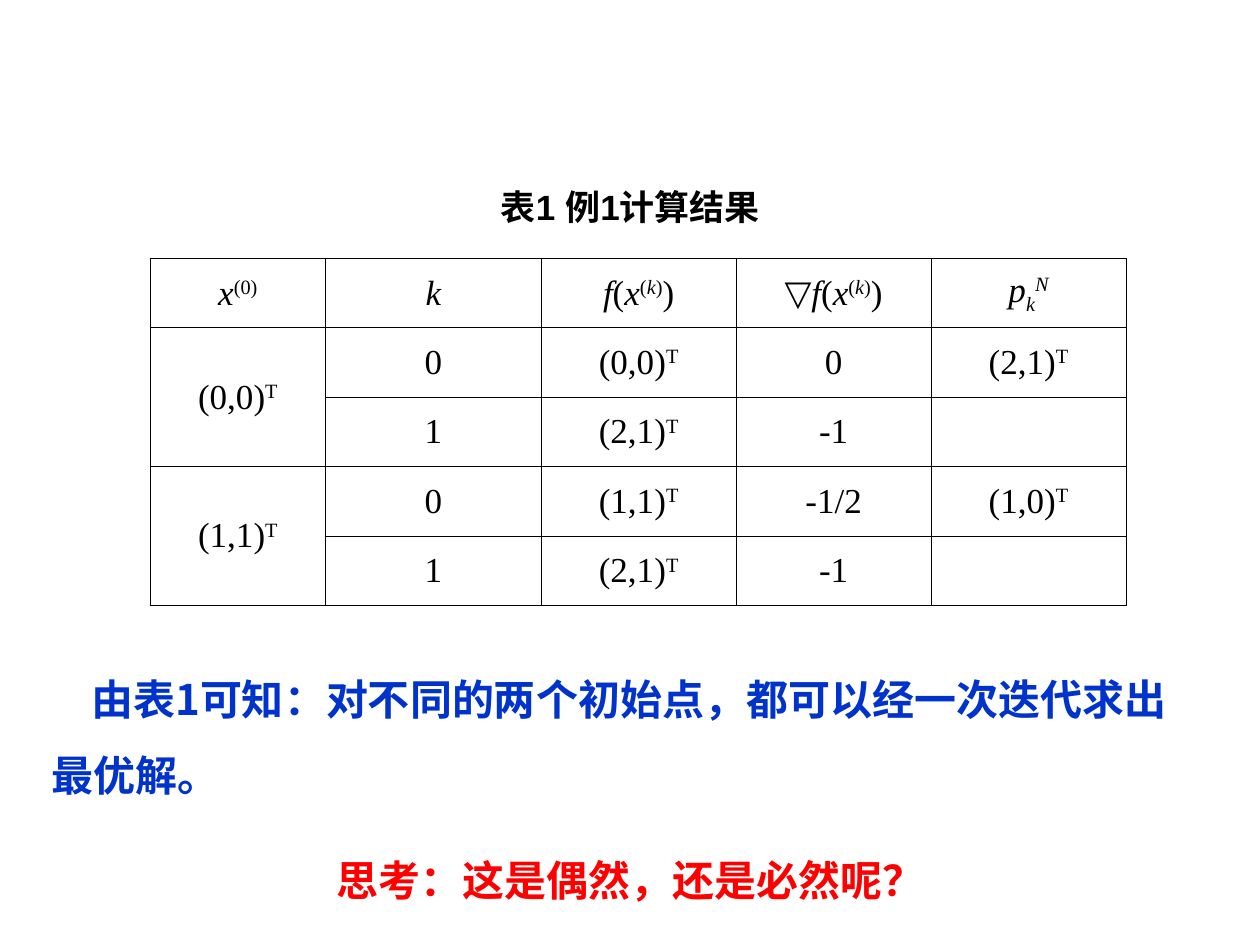
"""Build the slide with the results table of example 1 and its conclusion."""
from dataclasses import dataclass

from lxml.etree import SubElement
from pptx import Presentation
from pptx.dml.color import RGBColor
from pptx.enum.text import MSO_ANCHOR, MSO_AUTO_SIZE, PP_ALIGN
from pptx.oxml import parse_xml
from pptx.oxml.ns import nsdecls, qn
from pptx.util import Cm, Pt


@dataclass(frozen=True)
class Theme:
    ink: str = "000000"
    conclusion: str = "0033CC"
    question: str = "FF0000"
    table_size: int = 20
    caption_size: int = 20
    body_size: int = 24
    border: float = 0.45
    math_font: str = "Times New Roman"
    caption_font: str = "Arial"
    body_font: str = "Noto Sans CJK SC"


BASELINES = {"^": "30000", "_": "-25000"}


def vector(first, second):
    return [(f"({first},{second})", ""), ("T", "^")]


def plain(text):
    return [(text, "")]


def of_iterate(function):
    return [(function, "i"), ("(", ""), ("x", "i"), ("(", "^"),
            ("k", "i^"), (")", "^"), (")", "")]


class SlideBuilder:
    def __init__(self, page, theme):
        self.page = page
        self.theme = theme

    def style(self, paragraph, font_name, size, color, bold=False):
        font = paragraph.font
        font.name, font.size, font.bold = font_name, Pt(size), bold
        font.color.rgb = RGBColor.from_string(color)
        defaults = paragraph._p.pPr.find(qn("a:defRPr"))
        SubElement(defaults, qn("a:ea")).set("typeface", self.theme.body_font)

    def text(self, place, text, font_name, size, color, align=PP_ALIGN.LEFT,
             spacing=1.0, indent=0, wrap=True):
        box = self.page.shapes.add_textbox(*map(Cm, place))
        frame = box.text_frame
        frame.word_wrap = wrap
        frame.auto_size = MSO_AUTO_SIZE.SHAPE_TO_FIT_TEXT
        paragraph = frame.paragraphs[0]
        paragraph.text = text
        paragraph.alignment = align
        paragraph.line_spacing = spacing
        if indent:
            paragraph._p.get_or_add_pPr().set("indent", str(Cm(indent)))
        self.style(paragraph, font_name, size, color, bold=True)

    def border(self, cell):
        properties = cell._tc.get_or_add_tcPr()
        for index, side in enumerate(("lnL", "lnR", "lnT", "lnB")):
            properties.insert(index, parse_xml(
                f'<a:{side} {nsdecls("a")} w="{Pt(self.theme.border)}">'
                f'<a:solidFill><a:srgbClr val="{self.theme.ink}"/></a:solidFill>'
                f'</a:{side}>'))

    def fill_cell(self, cell, spans):
        cell.vertical_anchor = MSO_ANCHOR.MIDDLE
        paragraph = cell.text_frame.paragraphs[0]
        paragraph.alignment = PP_ALIGN.CENTER
        self.style(paragraph, self.theme.math_font, self.theme.table_size,
                   self.theme.ink)
        for text, marks in spans:
            span = paragraph.add_run()
            span.text = text
            if "i" in marks:
                span.font.italic = True
            for mark, baseline in BASELINES.items():
                if mark in marks:
                    span._r.get_or_add_rPr().set("baseline", baseline)

    def table(self, left, top, widths, row_height, rows, row_merges):
        table = self.page.shapes.add_table(
            len(rows), len(widths), Cm(left), Cm(top),
            Cm(sum(widths)), Cm(row_height * len(rows))).table
        table.first_row = table.horz_banding = False
        for column, width in zip(table.columns, widths):
            column.width = Cm(width)
        for row, contents in zip(table.rows, rows):
            row.height = Cm(row_height)
            for cell, spans in zip(row.cells, contents):
                cell.fill.background()
                self.border(cell)
                self.fill_cell(cell, spans)
        for first, last in row_merges:
            table.cell(first, 0).merge(table.cell(last, 0))


def main():
    deck = Presentation()
    deck.slide_width, deck.slide_height = Cm(25.4), Cm(19.05)
    theme = Theme()
    builder = SlideBuilder(deck.slides.add_slide(deck.slide_layouts[6]), theme)

    header = [[("x", "i"), ("(0)", "^")], [("k", "i")], of_iterate("f"),
              of_iterate("▽f"), [("p", "i"), ("k", "i_"), ("N", "i^")]]
    results = [
        [vector(0, 0), plain("0"), vector(0, 0), plain("0"), vector(2, 1)],
        [[], plain("1"), vector(2, 1), plain("-1"), []],
        [vector(1, 1), plain("0"), vector(1, 1), plain("-1/2"), vector(1, 0)],
        [[], plain("1"), vector(2, 1), plain("-1"), []],
    ]
    builder.table(3.03, 5.21, [3.53, 4.35, 3.93, 3.93, 3.93], 1.4,
                  [header, *results], [(1, 2), (3, 4)])
    builder.text((0.79, 12.95, 23.8, 3.3),
                 "由表1可知：对不同的两个初始点，都可以经一次迭代求出最优解。",
                 theme.body_font, theme.body_size, theme.conclusion,
                 spacing=1.5, indent=0.8)
    builder.text((6.4, 3.61, 12.62, 1.12), "表1 例1计算结果",
                 theme.caption_font, theme.caption_size, theme.ink,
                 align=PP_ALIGN.CENTER)
    builder.text((6.53, 16.59, 12.34, 1.78), "思考：这是偶然，还是必然呢？",
                 theme.body_font, theme.body_size, theme.question,
                 spacing=1.5, wrap=False)
    deck.save("out.pptx")


if __name__ == "__main__":
    main()
